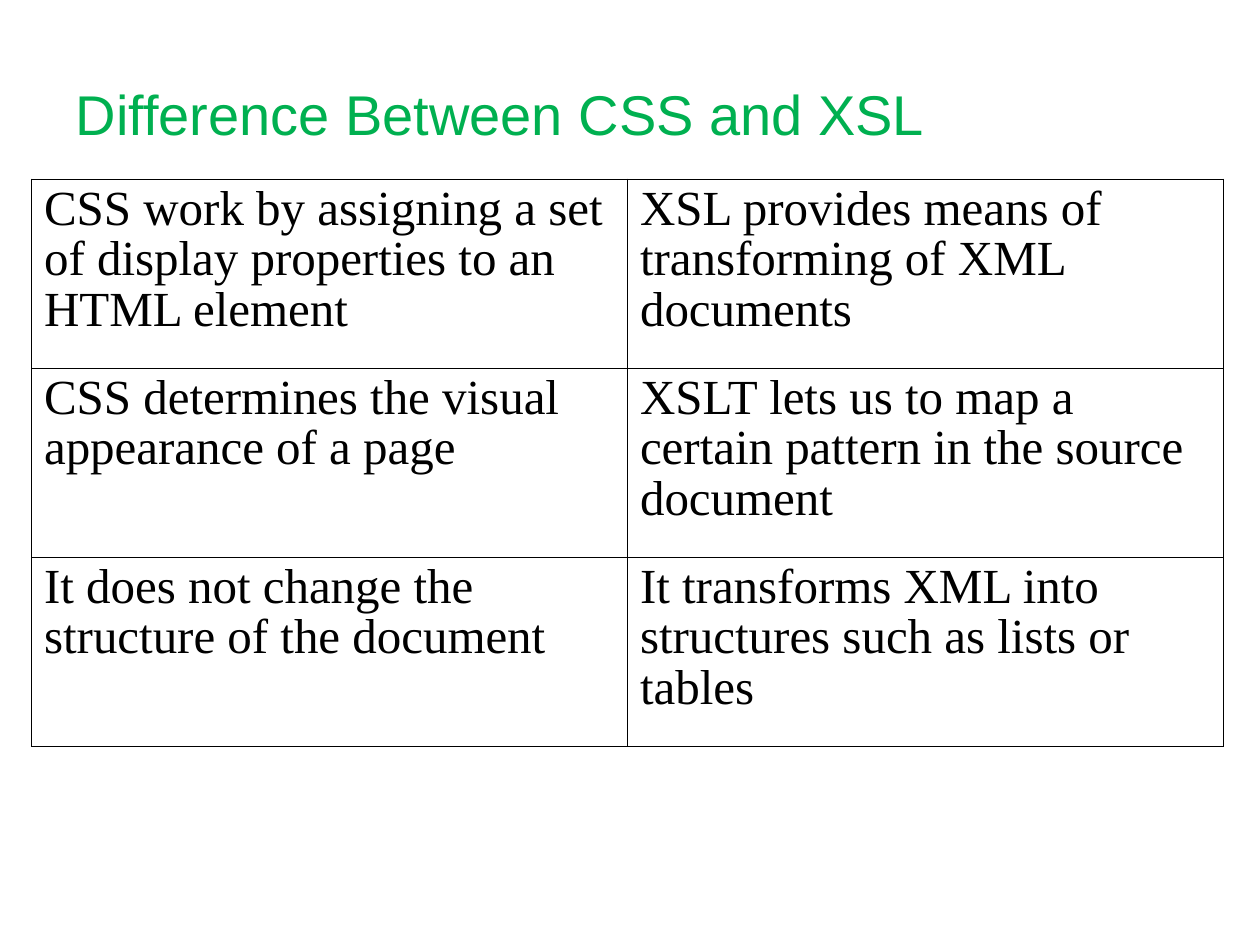
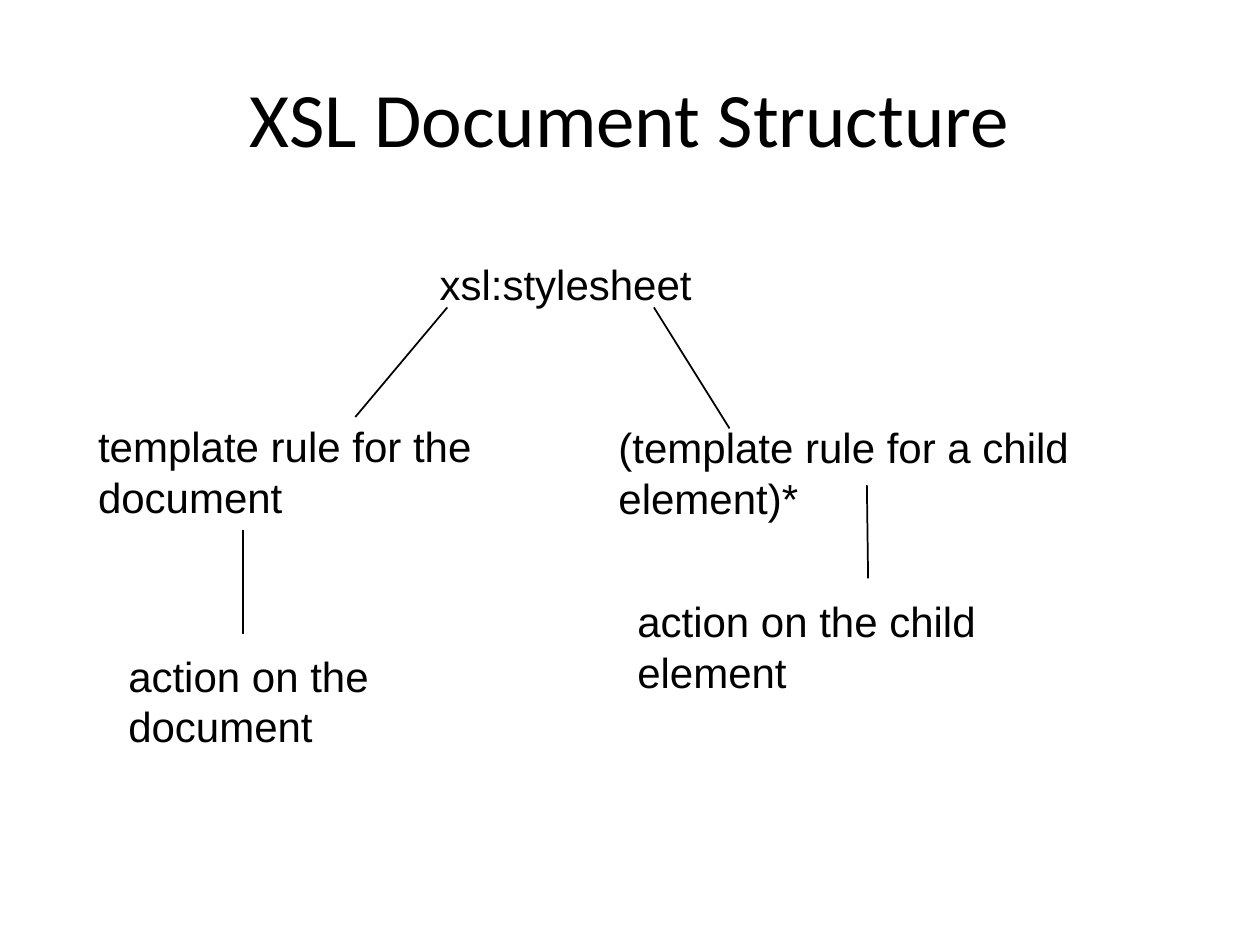
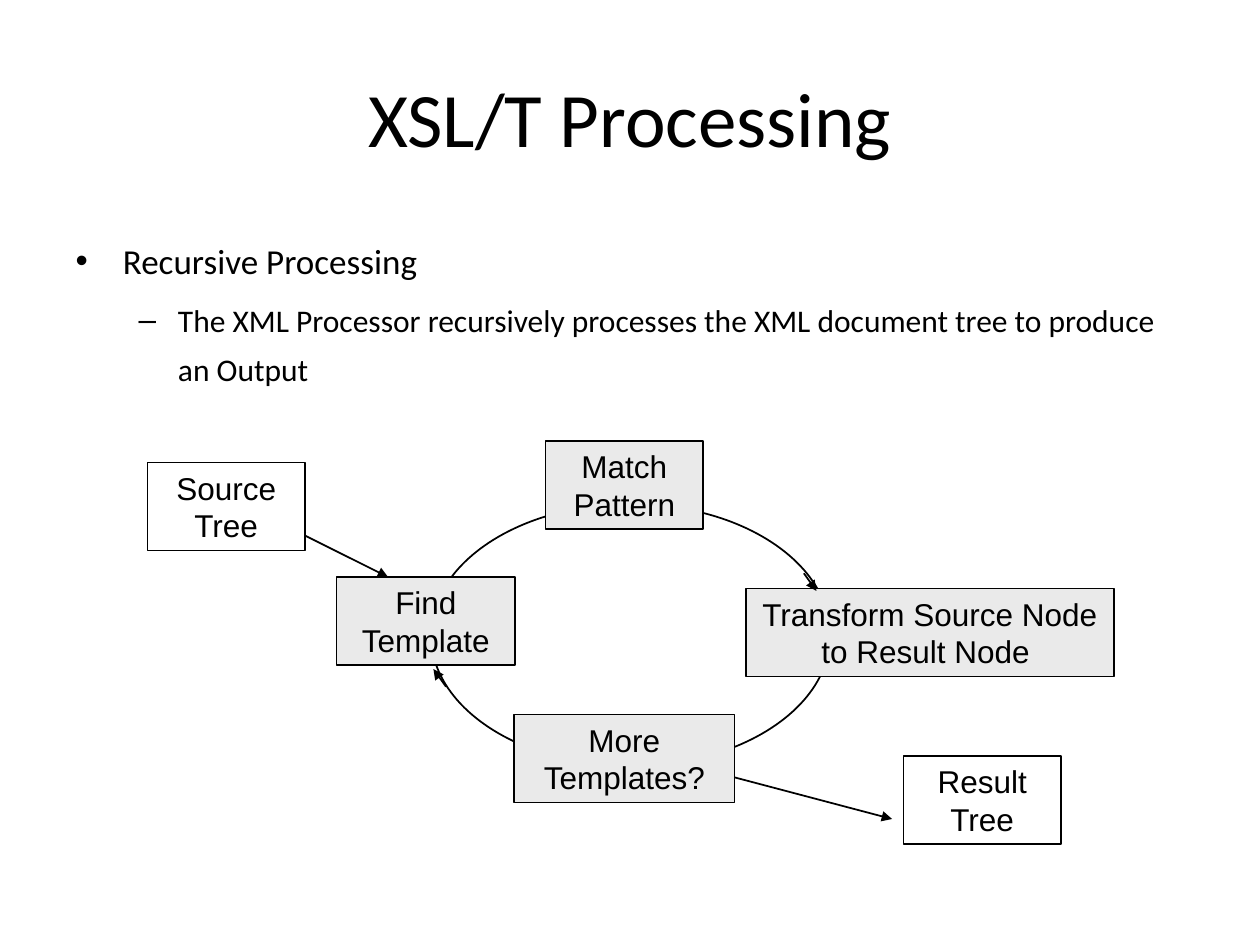
from lxml import etree
from pptx import Presentation
from pptx.dml.color import RGBColor
from pptx.enum import shapes, text
from pptx.oxml.ns import qn
from pptx.util import Inches, Pt

COLORS = {"ink": "000000", "heading": "00B050", "step": "EAEAEA"}

COMPARISON = [
    ("CSS work by assigning a set of display properties to an HTML element",
     "XSL provides means of transforming of XML documents"),
    ("CSS determines the visual appearance of a page",
     "XSLT lets us to map a certain pattern in the source document"),
    ("It does not change the structure of the document",
     "It transforms XML into structures such as lists or tables"),
]
COLUMN_WIDTH, ROW_HEIGHT = 4.73, 1.5
OUTER_BORDER, INNER_BORDER = 0.5, 0.23

TREE_LABELS = [
    ("xsl:stylesheet", 3.39, 2, 2.2, 0.5),
    ("template rule for the\ndocument", 0.68, 3.29, 3.26, 0.9),
    ("(template rule for a child element)*", 4.81, 3.3, 5.29, 0.5),
    ("action on the\ndocument", 0.92, 5.11, 2.2, 0.9),
    ("action on the child element", 4.96, 4.68, 4.16, 0.5),
]
TREE_BRANCHES = [
    (3.55, 2.44, 2.82, 3.31),
    (5.19, 2.44, 5.79, 3.4),
    (1.93, 4.21, 1.93, 5.03),
    (6.88, 3.85, 6.89, 4.59),
]

PROCESSING_POINTS = [
    ("Recursive Processing", 20, 5),
    ("The XML Processor recursively processes the XML document tree "
     "to produce an Output", 18, 4.5),
]
CYCLE = (3.42, 4, 3.17, 2.08)
BOX_HEIGHT = 0.7
PROCESS_BOXES = [
    ("Source Tree", 1.17, 3.67, 1.25, None),
    ("Match Pattern", 4.33, 3.5, 1.25, "step"),
    ("Find Template", 2.67, 4.58, 1.42, "step"),
    ("More Templates?", 4.08, 5.67, 1.75, "step"),
    ("Transform Source Node to Result Node ", 5.92, 4.67, 2.92, "step"),
    ("Result Tree", 7.17, 6, 1.25, None),
]
PROCESS_ARROWS = [
    (6.38, 4.55, 6.48, 4.69),
    (2.42, 4.25, 3.08, 4.58),
    (5.83, 6.17, 7.08, 6.5),
    (3.54, 5.45, 3.44, 5.31),
]


def color(name):
    return RGBColor.from_string(COLORS[name])


def format_paragraph(paragraph, size, font_name="Arial", ink="ink"):
    paragraph.font.size = Pt(size)
    paragraph.font.name = font_name
    paragraph.font.color.rgb = color(ink)


def add_titled_slide(presentation, title, layout="Title Only"):
    slide = presentation.slides.add_slide(presentation.slide_layouts.get_by_name(layout))
    slide.shapes.title.text = title
    format_paragraph(slide.shapes.title.text_frame.paragraphs[0], 44, "Calibri")
    return slide


def add_line(slide, ends, arrow=False):
    connector = slide.shapes.add_connector(
        shapes.MSO_CONNECTOR.STRAIGHT, *map(Inches, ends))
    connector.line.color.rgb = color("ink")
    connector.line.width = Pt(1)
    properties = connector._element.spPr
    if arrow:
        etree.SubElement(properties.find(qn("a:ln")), qn("a:tailEnd"), type="triangle")
    etree.SubElement(properties, qn("a:effectLst"))


def add_outlined_shape(slide, kind, place, fill=None):
    shape = slide.shapes.add_shape(kind, *map(Inches, place))
    shape.shadow.inherit = False
    if fill:
        shape.fill.solid()
        shape.fill.fore_color.rgb = color(fill)
    else:
        shape.fill.background()
    shape.line.color.rgb = color("ink")
    shape.line.width = Pt(1)
    return shape


def set_borders(cell, widths):
    properties = cell._tc.get_or_add_tcPr()
    for index, (side, width) in enumerate(widths.items()):
        border = etree.Element(qn(f"a:ln{side}"), w=str(Pt(width)))
        fill = etree.SubElement(border, qn("a:solidFill"))
        etree.SubElement(fill, qn("a:srgbClr"), val=COLORS["ink"])
        properties.insert(index, border)


def build_comparison(presentation):
    slide = add_titled_slide(presentation, "Difference Between CSS and XSL")
    title = slide.shapes.title
    title.left, title.top, title.width, title.height = map(Inches, (0.5, 0.58, 8.67, 0.64))
    title.text_frame.vertical_anchor = text.MSO_ANCHOR.TOP
    heading = title.text_frame.paragraphs[0]
    heading.alignment = text.PP_ALIGN.LEFT
    format_paragraph(heading, 32, ink="heading")

    row_count, column_count = len(COMPARISON), len(COMPARISON[0])
    table = slide.shapes.add_table(
        row_count, column_count, Inches(0.25), Inches(1.42),
        Inches(COLUMN_WIDTH * column_count), Inches(ROW_HEIGHT * row_count)).table
    table.first_row = table.horz_banding = False
    for row, contents in enumerate(COMPARISON):
        for column, content in enumerate(contents):
            cell = table.cell(row, column)
            cell.text = content
            cell.fill.background()
            paragraph = cell.text_frame.paragraphs[0]
            paragraph.line_spacing = 0.93
            paragraph.space_before = Pt(7)
            format_paragraph(paragraph, 28, "Times New Roman")
            on_edge = {"L": column == 0, "R": column == column_count - 1,
                       "T": row == 0, "B": row == row_count - 1}
            set_borders(cell, {side: OUTER_BORDER if edge else INNER_BORDER
                               for side, edge in on_edge.items()})


def build_structure(presentation):
    slide = add_titled_slide(presentation, "XSL Document Structure")
    for label, *place in TREE_LABELS:
        frame = slide.shapes.add_textbox(*map(Inches, place)).text_frame
        frame.word_wrap = False
        frame.text = label
        for paragraph in frame.paragraphs:
            format_paragraph(paragraph, 24)
    for branch in TREE_BRANCHES:
        add_line(slide, branch)


def build_processing(presentation):
    slide = add_titled_slide(presentation, "XSL/T Processing", "Title and Content")
    frame = slide.placeholders[1].text_frame
    frame.text = "\n".join(point for point, _, _ in PROCESSING_POINTS)
    for level, (_, size, gap) in enumerate(PROCESSING_POINTS):
        paragraph = frame.paragraphs[level]
        paragraph.level = level
        paragraph.line_spacing = 1.3
        paragraph.space_before = Pt(gap)
        format_paragraph(paragraph, size, "Calibri")

    add_outlined_shape(slide, shapes.MSO_SHAPE.OVAL, CYCLE)
    for label, left, top, width, fill in PROCESS_BOXES:
        box = add_outlined_shape(
            slide, shapes.MSO_SHAPE.RECTANGLE, (left, top, width, BOX_HEIGHT), fill)
        box.text_frame.text = label
        box.text_frame.vertical_anchor = text.MSO_ANCHOR.TOP
        paragraph = box.text_frame.paragraphs[0]
        paragraph.alignment = text.PP_ALIGN.CENTER
        paragraph.space_before = Pt(11.2)
        format_paragraph(paragraph, 18)
    for arrow in PROCESS_ARROWS:
        add_line(slide, arrow, arrow=True)


def main():
    presentation = Presentation()
    presentation.slide_width, presentation.slide_height = Inches(10), Inches(7.5)
    build_comparison(presentation)
    build_structure(presentation)
    build_processing(presentation)
    presentation.save("out.pptx")


if __name__ == "__main__":
    main()
